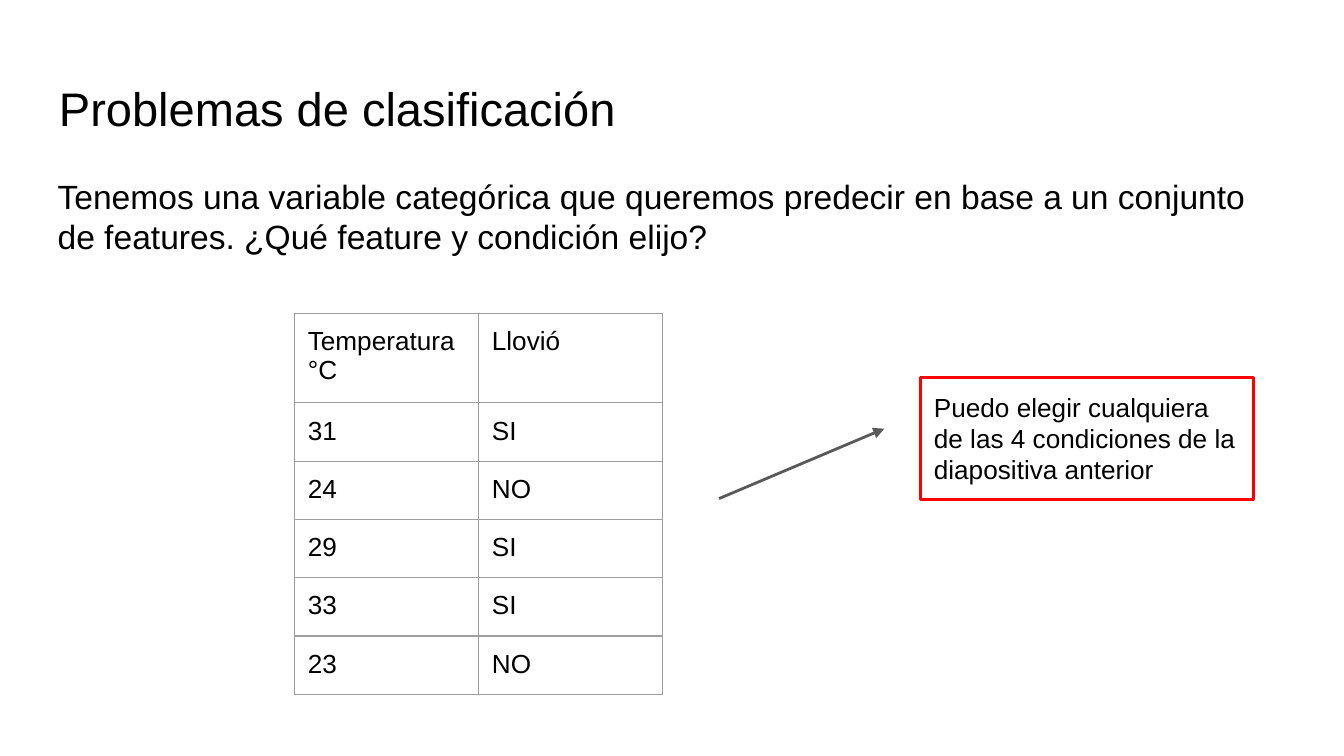
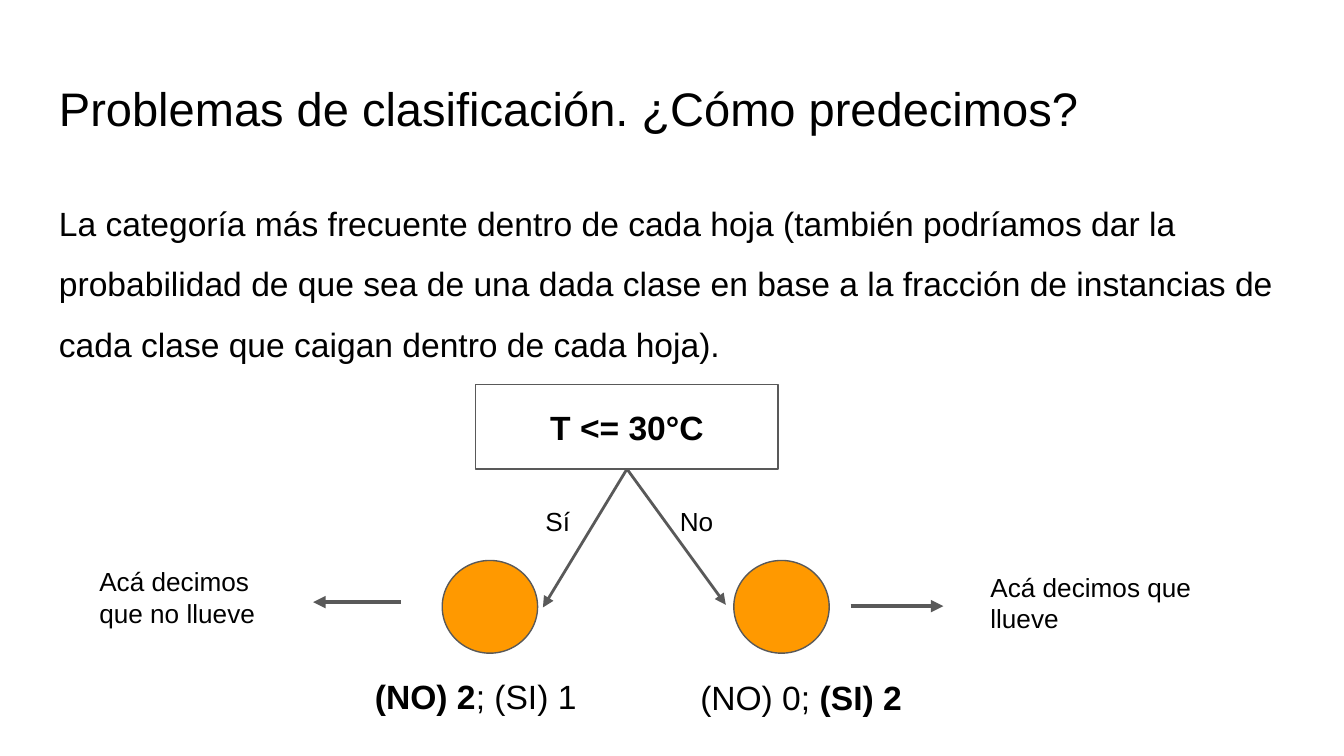
from dataclasses import dataclass

from lxml import etree
from pptx import Presentation
from pptx.dml.color import RGBColor
from pptx.enum.shapes import MSO_CONNECTOR, MSO_SHAPE
from pptx.enum.text import MSO_ANCHOR, PP_ALIGN
from pptx.oxml.ns import qn
from pptx.util import Inches, Pt

RECTANGLE, OVAL = MSO_SHAPE.RECTANGLE, MSO_SHAPE.OVAL
STRAIGHT = MSO_CONNECTOR.STRAIGHT
TOP, MIDDLE = MSO_ANCHOR.TOP, MSO_ANCHOR.MIDDLE
LEFT, CENTER = PP_ALIGN.LEFT, PP_ALIGN.CENTER
BOTTOM_SIDE = 2


@dataclass(frozen=True)
class Theme:
    font: str = "Arial"
    ink: str = "000000"
    paper: str = "FFFFFF"
    line: str = "595959"
    grid: str = "9E9E9E"
    accent: str = "FF0000"
    leaf: str = "FF9900"
    title_size: float = 25.2
    body_size: float = 18
    small_size: float = 14
    thin: float = 0.75
    medium: float = 1.5
    thick: float = 2.25
    inset: float = 0.1


THEME = Theme()
MARGINS = dict.fromkeys(
    ("margin_left", "margin_top", "margin_right", "margin_bottom"), Inches(THEME.inset)
)

# Content of the first slide
TITLE_BOX = (0.34, 0.49, 9.32, 0.63)
PROBLEM_TITLE = "Problemas de clasificación"
PROBLEM_TEXT = (
    "Tenemos una variable categórica que queremos predecir en base a un conjunto "
    "de features. ¿Qué feature y condición elijo?"
)
RAIN_ROWS = [
    ("Temperatura °C", "Llovió"),
    ("31", "SI"),
    ("24", "NO"),
    ("29", "SI"),
    ("33", "SI"),
    ("23", "NO"),
]
CONDITION_NOTE = "Puedo elegir cualquiera de las 4 condiciones de la diapositiva anterior"

# Content of the second slide
PREDICTION_TITLE = "Problemas de clasificación. ¿Cómo predecimos?"
PREDICTION_TEXT = (
    "La categoría más frecuente dentro de cada hoja (también podríamos dar la "
    "probabilidad de que sea de una dada clase en base a la fracción de instancias "
    "de cada clase que caigan dentro de cada hoja)."
)
ROOT_TEXT = "T <= 30°C"
BRANCHES = [
    {
        "answer": "Sí", "answer_box": (3.96, 3.66, 0.47, 0.44),
        "branch_end": (4.04, 4.52), "leaf_left": 3.29,
        "counts": [("(NO) 2", True), ("; (SI) 1", False)],
        "counts_box": (2.65, 4.93, 1.78, 0.5),
        "arrow": ((2.98, 4.48), (2.33, 4.48)),
        "decision": "Acá decimos que no llueve",
        "decision_box": (0.64, 4.11, 1.52, 0.67),
    },
    {
        "answer": "No", "answer_box": (4.96, 3.66, 0.47, 0.44),
        "branch_end": (5.4, 4.5), "leaf_left": 5.46,
        "counts": [("(NO) 0; ", False), ("(SI) 2", True)],
        "counts_box": (5.07, 4.94, 1.78, 0.5),
        "arrow": ((6.33, 4.51), (7.02, 4.51)),
        "decision": "Acá decimos que llueve",
        "decision_box": (7.27, 4.15, 1.89, 0.67),
    },
]


def set_attributes(target, values):
    for name, value in values.items():
        setattr(target, name, value)


def color(value):
    return RGBColor.from_string(value)


def add_run(paragraph, text, size, bold=False):
    run = paragraph.add_run()
    run.text = text
    set_attributes(run.font, {"name": THEME.font, "size": Pt(size), "bold": bold})
    run.font.color.rgb = color(THEME.ink)


def write_text(text_frame, content, size, bold=False, anchor=TOP, **paragraph_format):
    """Fill a frame with a string or a list of (text, bold) runs."""
    set_attributes(text_frame, {**MARGINS, "word_wrap": True, "vertical_anchor": anchor})
    paragraph = text_frame.paragraphs[0]
    set_attributes(paragraph, {"alignment": LEFT, **paragraph_format})
    runs = [(content, bold)] if isinstance(content, str) else content
    for text, is_bold in runs:
        add_run(paragraph, text, size, is_bold)


def add_text(slide, box, content, size, **text_format):
    shape = slide.shapes.add_textbox(*map(Inches, box))
    write_text(shape.text_frame, content, size, **text_format)


def add_box(slide, kind, box, fill, line, width):
    shape = slide.shapes.add_shape(kind, *map(Inches, box))
    shape.shadow.inherit = False
    if fill:
        shape.fill.solid()
        shape.fill.fore_color.rgb = color(fill)
    else:
        shape.fill.background()
    shape.line.color.rgb = color(line)
    shape.line.width = Pt(width)
    return shape


def add_arrow(slide, start, end, width):
    arrow = slide.shapes.add_connector(STRAIGHT, *map(Inches, (*start, *end)))
    arrow.line.color.rgb = color(THEME.line)
    arrow.line.width = Pt(width)
    properties = arrow._element.spPr
    etree.SubElement(properties.find(qn("a:ln")), qn("a:tailEnd"), type="triangle")
    etree.SubElement(properties, qn("a:effectLst"))
    return arrow


def set_cell_borders(cell):
    properties = cell._tc.get_or_add_tcPr()
    for position, side in enumerate(("a:lnL", "a:lnR", "a:lnT", "a:lnB")):
        border = etree.Element(qn(side), w=str(Pt(THEME.thin)))
        fill = etree.SubElement(border, qn("a:solidFill"))
        etree.SubElement(fill, qn("a:srgbClr"), val=THEME.grid)
        properties.insert(position, border)


def add_table(slide, box, column_width, row_height, rows):
    frame = slide.shapes.add_table(len(rows), len(rows[0]), *map(Inches, box))
    table = frame.table
    set_attributes(table, {"first_row": False, "horz_banding": False})
    for column in table.columns:
        column.width = Inches(column_width)
    for row in table.rows:
        row.height = Inches(row_height)
    # Resizing rows and columns also resizes the frame
    set_attributes(frame, {"width": Inches(box[2]), "height": Inches(box[3])})

    for row, values in zip(table.rows, rows):
        for cell, value in zip(row.cells, values):
            cell.fill.background()
            set_attributes(cell, MARGINS)
            add_run(cell.text_frame.paragraphs[0], value, THEME.small_size)
            set_cell_borders(cell)


def add_titled_slide(presentation, title):
    slide = presentation.slides.add_slide(presentation.slide_layouts[6])
    slide.background.fill.solid()
    slide.background.fill.fore_color.rgb = color(THEME.paper)
    add_text(slide, TITLE_BOX, title, THEME.title_size)
    return slide


def build_problem_slide(presentation):
    slide = add_titled_slide(presentation, PROBLEM_TITLE)
    add_table(slide, (2.19, 2.33, 3.28, 3.28), 1.37, 0.43, RAIN_ROWS)
    add_text(slide, (0.33, 1.21, 9.19, 0.81), PROBLEM_TEXT, THEME.body_size)
    add_arrow(slide, (5.35, 3.71), (6.58, 3.19), THEME.medium)
    note = add_box(slide, RECTANGLE, (6.85, 2.81, 2.48, 0.91), None, THEME.accent, THEME.medium)
    write_text(note.text_frame, CONDITION_NOTE, THEME.small_size)


def build_prediction_slide(presentation):
    slide = add_titled_slide(presentation, PREDICTION_TITLE)
    add_text(slide, (0.34, 1.26, 9.32, 3.74), PREDICTION_TEXT, THEME.body_size,
             line_spacing=1.5, space_after=Pt(12))

    # Root of the tree
    root = add_box(slide, RECTANGLE, (3.54, 2.86, 2.25, 0.63),
                   THEME.paper, THEME.line, THEME.thin)
    write_text(root.text_frame, ROOT_TEXT, THEME.body_size,
               bold=True, anchor=MIDDLE, alignment=CENTER)

    # Branches, leaves and their decisions
    for branch in BRANCHES:
        connector = add_arrow(slide, (4.67, 3.49), branch["branch_end"], THEME.medium)
        connector.begin_connect(root, BOTTOM_SIDE)
        add_text(slide, branch["answer_box"], branch["answer"], THEME.small_size)
        add_box(slide, OVAL, (branch["leaf_left"], 4.17, 0.71, 0.69),
                THEME.leaf, THEME.line, THEME.thin)
        add_text(slide, branch["counts_box"], branch["counts"], THEME.body_size,
                 alignment=CENTER)
        add_arrow(slide, *branch["arrow"], THEME.thick)
        add_text(slide, branch["decision_box"], branch["decision"], THEME.small_size)


def main():
    presentation = Presentation()
    # Widescreen, 16:9
    presentation.slide_width = Inches(10)
    presentation.slide_height = presentation.slide_width * 9 // 16
    build_problem_slide(presentation)
    build_prediction_slide(presentation)
    presentation.save("out.pptx")


if __name__ == "__main__":
    main()
